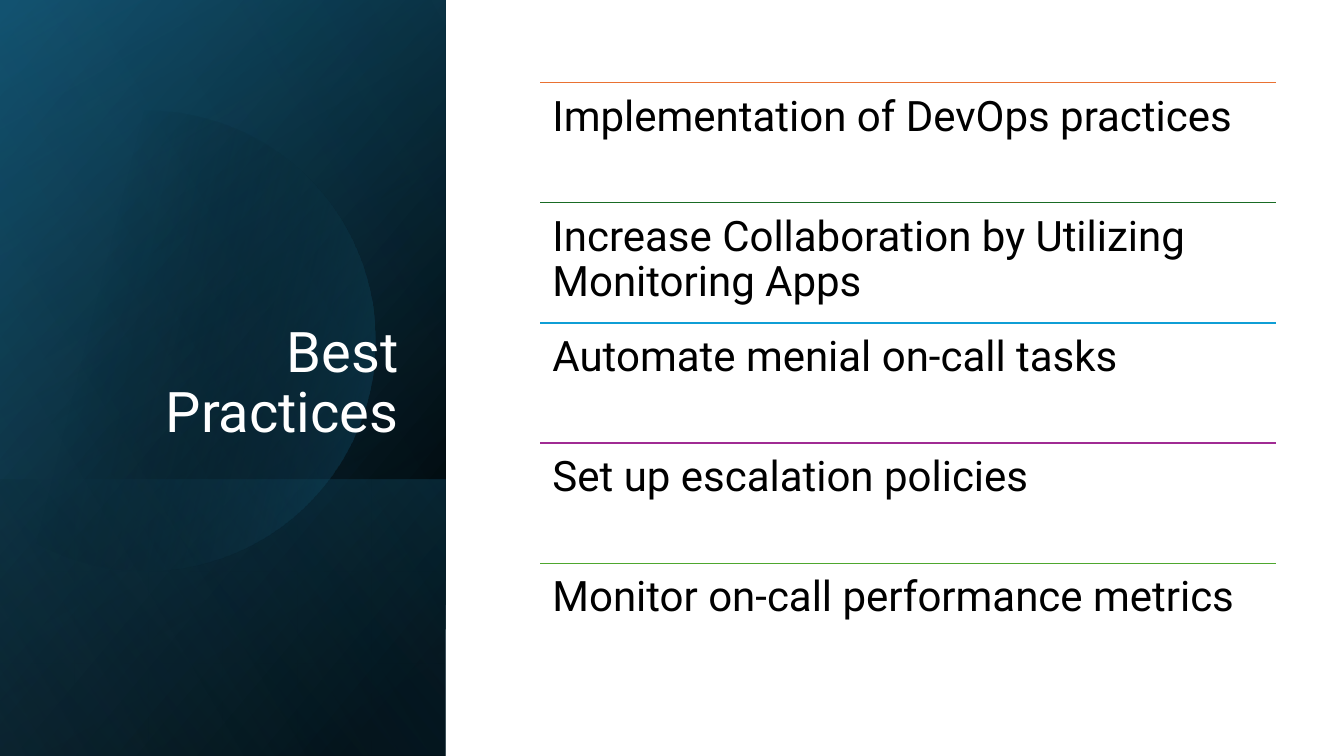
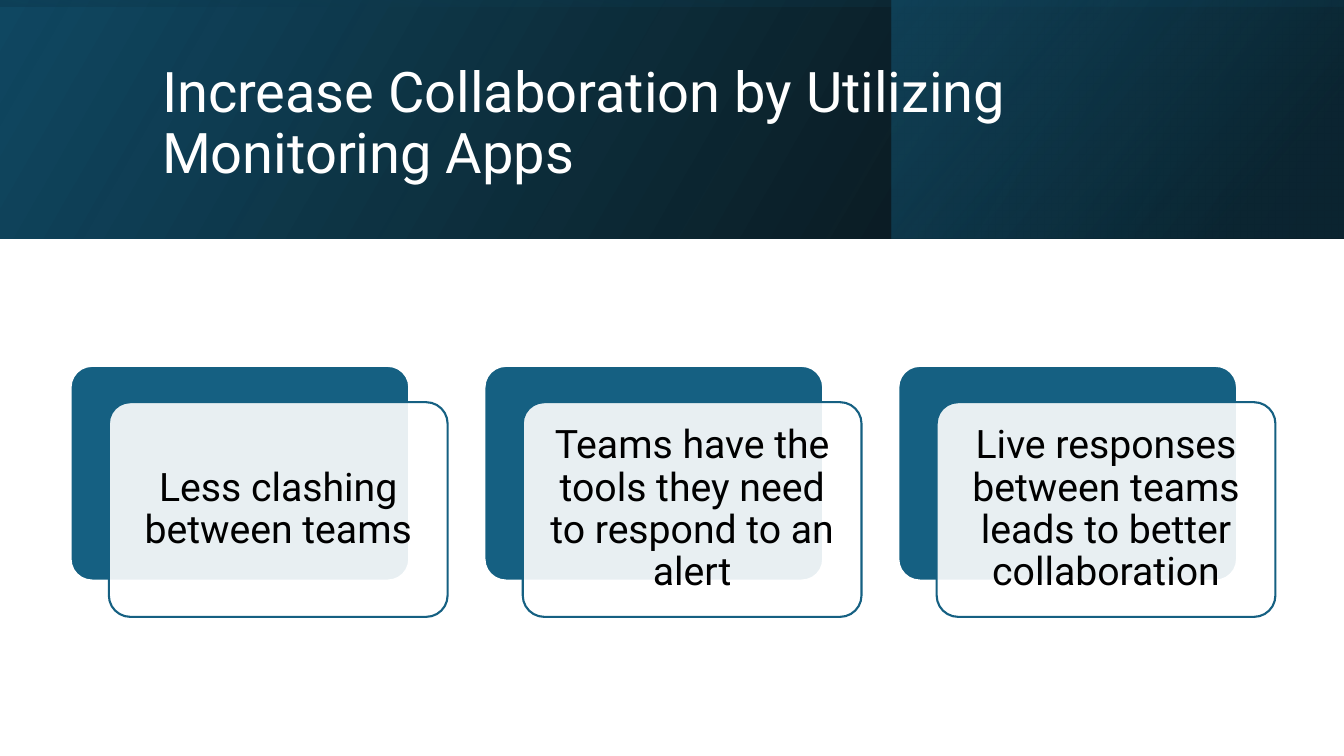
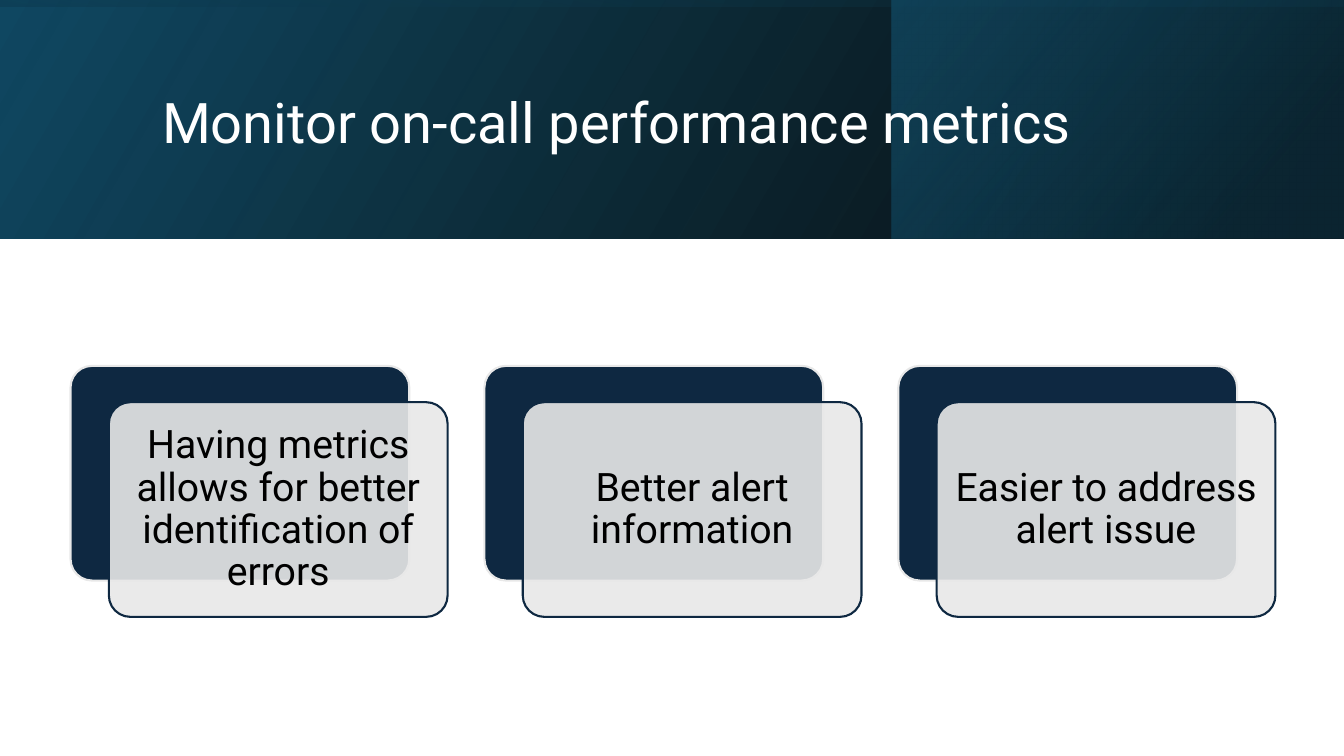
from collections import namedtuple
from dataclasses import dataclass
from math import acos, cos, sin

from lxml.etree import SubElement
from pptx import Presentation
from pptx.dml.color import RGBColor
from pptx.enum.shapes import MSO_CONNECTOR, MSO_SHAPE
from pptx.enum.text import MSO_ANCHOR, PP_ALIGN
from pptx.oxml.ns import qn
from pptx.util import Inches, Pt

Box = namedtuple("Box", "left top width height")
Stop = namedtuple("Stop", "position color alpha", defaults=(100,))
Layer = namedtuple("Layer", "box turn angle stops")


@dataclass(frozen=True)
class Theme:
    font: str = "Roboto"
    title_size: int = 40
    list_size: int = 30
    card_size: int = 28
    line_spacing: float = 0.9
    inset: float = 0.12
    black: str = "000000"
    white: str = "FFFFFF"
    gray: str = "E8E8E8"
    navy: str = "0E2841"
    teal: str = "156082"
    deep_teal: str = "104862"
    dark_teal: str = "0B3041"
    sky: str = "46B1E1"
    rules: tuple = ("E97132", "196B24", "0F9ED5", "A02B93", "4EA72E")


THEME = Theme()
SLIDE = Box(0, 0, 13.33, 7.5)
SIDE_PANEL = Box(0, 0, 4.42, 7.5)
HEADER = Box(0, 0, 13.33, 2.37)
LIST_AREA = Box(5.36, 0.82, 7.3, 5.96)
CARD_AREA = Box(0.7, 3.63, 11.95, 2.49)


def inches(box):
    return [Inches(value) for value in box]


def set_values(target, values):
    for name, value in values.items():
        setattr(target, name, value)


def write_text(shape, text, size, color, align=PP_ALIGN.LEFT,
               anchor=MSO_ANCHOR.TOP, inset=None):
    frame = shape.text_frame
    set_values(frame, {"word_wrap": True, "vertical_anchor": anchor})
    if inset is not None:
        sides = ("left", "top", "right", "bottom")
        set_values(frame, {f"margin_{side}": Inches(inset) for side in sides})
    paragraph = frame.paragraphs[0]
    set_values(paragraph, {"alignment": align, "line_spacing": THEME.line_spacing})
    run = paragraph.add_run()
    run.text = text
    set_values(run.font, {"name": THEME.font, "size": Pt(size)})
    run.font.color.rgb = RGBColor.from_string(color)


def add_text(slide, box, *content, **layout):
    write_text(slide.shapes.add_textbox(*inches(box)), *content, **layout)


def set_alpha(color_element, percent):
    SubElement(color_element, qn("a:alpha"), val=str(percent * 1000))


def fill_gradient(shape, stops, angle):
    """Gradient with per-stop opacity; the angle runs clockwise."""
    shape.shadow.inherit = False
    shape.line.fill.background()
    shape.fill.gradient()
    gradient = shape.element.spPr.find(qn("a:gradFill"))
    gradient.clear()
    gradient.set("rotWithShape", "1")
    stop_list = SubElement(gradient, qn("a:gsLst"))
    for stop in stops:
        item = SubElement(stop_list, qn("a:gs"), pos=str(stop.position * 1000))
        color = SubElement(item, qn("a:srgbClr"), val=stop.color)
        if stop.alpha < 100:
            set_alpha(color, stop.alpha)
    SubElement(gradient, qn("a:lin"), ang=str(angle * 60000), scaled="0")


def add_layer(slide, layer):
    """Mirrored gradient rectangle that covers layer.box after its turn."""
    left, top, width, height = layer.box
    if layer.turn:
        left += (width - height) / 2
        top += (height - width) / 2
        width, height = height, width
    shape = slide.shapes.add_shape(
        MSO_SHAPE.RECTANGLE, *inches((left, top, width, height)))
    shape.rotation = layer.turn
    shape.element.spPr.find(qn("a:xfrm")).set("flipH", "1")
    fill_gradient(shape, layer.stops, layer.angle)


def add_disc(slide, box):
    """Large translucent disc cut off by the left edge of the panel."""
    center_x, center_y, radius = box.left + 1.44, box.top + 3.38, 2.28
    reach = acos((box.left - center_x) / radius)
    steps = 120
    angles = [reach * (2 * step / steps - 1) for step in range(steps + 1)]
    points = [(Inches(center_x + radius * cos(angle)),
               Inches(center_y + radius * sin(angle))) for angle in angles]
    builder = slide.shapes.build_freeform(*points[0])
    builder.add_line_segments(points[1:], close=True)
    fill_gradient(builder.convert_to_shape(),
                  [Stop(29, THEME.black, 0), Stop(100, THEME.teal, 43)], 14)


def add_side_panel(slide, box, title):
    foot = Box(box.left, box.top + 4.76, box.width, box.height - 4.76)
    # Gradients below the disc
    for layer in (
        Layer(box, 90, 50, [Stop(8, THEME.black), Stop(100, THEME.deep_teal)]),
        Layer(box, 90, 30, [Stop(0, THEME.black, 0), Stop(99, THEME.teal, 46)]),
        Layer(foot, 90, 130, [Stop(2, THEME.teal, 29), Stop(100, THEME.black, 30)]),
    ):
        add_layer(slide, layer)
    add_disc(slide, box)
    # Light tint over everything
    add_layer(slide, Layer(box, 90, 120,
                           [Stop(0, THEME.black, 0), Stop(99, THEME.sky, 11)]))
    add_text(slide, Box(box.left + 0.64, box.top + 1.84, 3.41, 2.62), title,
             THEME.title_size, THEME.white,
             align=PP_ALIGN.RIGHT, anchor=MSO_ANCHOR.BOTTOM)


def add_header(slide, box, title):
    right_part = Box(box.left + 8.84, box.top, box.width - 8.84, box.height)
    for layer in (
        Layer(box, 0, 330, [Stop(0, THEME.black, 96), Stop(100, THEME.deep_teal)]),
        Layer(right_part, 0, 320,
              [Stop(19, THEME.dark_teal, 68), Stop(100, THEME.teal, 48)]),
        Layer(box, 270, 350,
              [Stop(23, THEME.deep_teal, 16), Stop(99, THEME.black, 45)]),
    ):
        add_layer(slide, layer)
    add_text(slide, Box(box.left + 1.51, box.top + 0.38, 10.63, 1.72), title,
             THEME.title_size, THEME.white, anchor=MSO_ANCHOR.MIDDLE)


def add_ruled_list(slide, box, items):
    row_height = box.height / len(items)
    for index, (text, color) in enumerate(zip(items, THEME.rules)):
        row = Box(box.left, box.top + index * row_height, box.width, row_height)
        # Rule above the entry
        rule = slide.shapes.add_connector(
            MSO_CONNECTOR.STRAIGHT,
            *inches((row.left, row.top, row.left + row.width, row.top)))
        rule.line.color.rgb = RGBColor.from_string(color)
        rule.line.width = Pt(1)
        SubElement(rule.element.spPr, qn("a:effectLst"))
        add_text(slide, row, text, THEME.list_size, THEME.black, inset=THEME.inset)


def add_card_sheet(slide, box, fill, outline, alpha=100):
    sheet = slide.shapes.add_shape(MSO_SHAPE.ROUNDED_RECTANGLE, *inches(box))
    sheet.adjustments[0] = 0.1
    sheet.shadow.inherit = False
    sheet.fill.solid()
    sheet.fill.fore_color.rgb = RGBColor.from_string(fill)
    if alpha < 100:
        set_alpha(sheet.element.spPr.find(f"{qn('a:solidFill')}/{qn('a:srgbClr')}"),
                  alpha)
    sheet.line.color.rgb = RGBColor.from_string(outline)
    sheet.line.width = Pt(1.5)
    return sheet


def add_cards(slide, box, texts, dark, light):
    width, height = 3.36, 2.13
    shift_x, shift_y = 0.38, box.height - height
    pitch = (box.width - width - shift_x) / (len(texts) - 1)
    for index, text in enumerate(texts):
        back = Box(box.left + index * pitch, box.top, width, height)
        front = Box(back.left + shift_x, back.top + shift_y, width, height)
        add_card_sheet(slide, back, dark, light)
        sheet = add_card_sheet(slide, front, light, dark, alpha=90)
        write_text(sheet, text, THEME.card_size, THEME.black,
                   align=PP_ALIGN.CENTER, anchor=MSO_ANCHOR.MIDDLE,
                   inset=THEME.inset)


def add_list_slide(slide, title, items):
    add_side_panel(slide, SIDE_PANEL, title)
    add_ruled_list(slide, LIST_AREA, items)


def add_card_slide(slide, title, texts, dark, light):
    add_header(slide, HEADER, title)
    add_cards(slide, CARD_AREA, texts, dark, light)


def main():
    presentation = Presentation()
    set_values(presentation, {"slide_width": Inches(SLIDE.width),
                              "slide_height": Inches(SLIDE.height)})
    collaboration = "Increase Collaboration by Utilizing Monitoring Apps"
    metrics = "Monitor on-call performance metrics"
    slides = (
        (add_list_slide, "Best Practices", (
            "Implementation of DevOps practices",
            collaboration,
            "Automate menial on-call tasks",
            "Set up escalation policies",
            metrics)),
        (add_card_slide, collaboration, (
            "Less clashing between teams",
            "Teams have the tools they need to respond to an alert",
            "Live responses between teams leads to better collaboration"),
         THEME.teal, THEME.white),
        (add_card_slide, metrics, (
            "Having metrics allows for better identification of errors",
            "Better alert information",
            "Easier to address alert issue"),
         THEME.navy, THEME.gray),
    )
    for build, *content in slides:
        build(presentation.slides.add_slide(presentation.slide_layouts[6]), *content)
    presentation.save("out.pptx")


if __name__ == "__main__":
    main()
